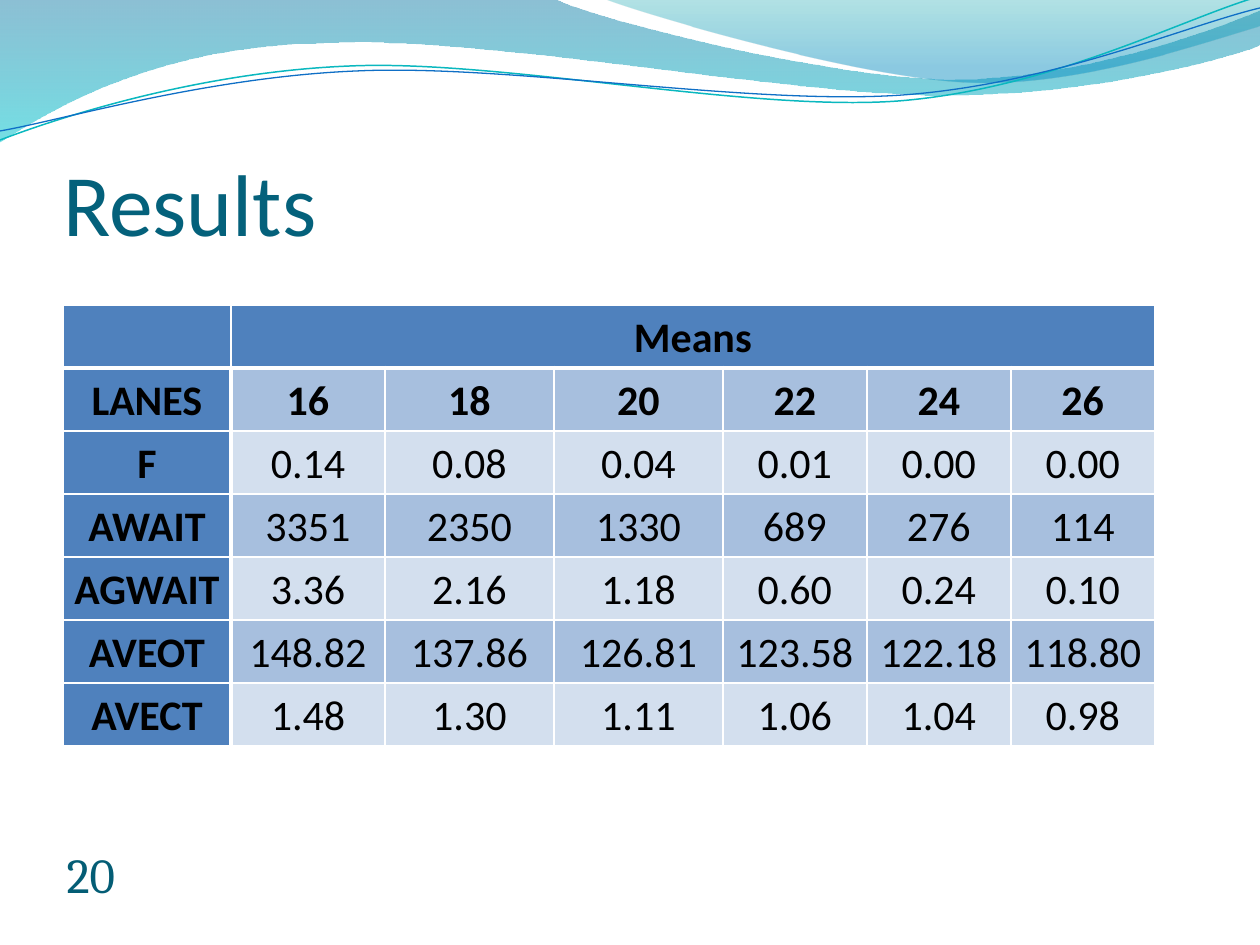
import pptx
import pptx.util
import pptx.dml.color
import pptx.enum.text
import pptx.oxml
import pptx.oxml.ns

EMU_PER_PX = 914400 / 126
ALIGN = pptx.enum.text.PP_ALIGN
COLORS = {
    "title": "04617B", "page": "045D75", "text": "000000", "border": "FFFFFF",
    "header": "4F81BD", "dark_band": "A7BFDE", "light_band": "D3DFEE",
    "wave_blue": "0074A1", "wave_cyan": "00C6CF",
    "crest_teal": "00A1A9", "crest_blue": "008BBF",
    "teal_line": "0AB8BF", "blue_line": "0F6FC6",
}
BACK_WAVE = [
    [(0, 0)], [(554, -1)],
    [(600, 21), (837, 79), (955, 79)], [(1075, 79), (1207, 33), (1260, 11)],
    [(1261, 45)],
    [(1239, 55), (1096, 96), (940, 95)], [(784, 95), (481, 35), (324, 43)],
    [(163, 45), (58, 105), (-1, 142)],
]
FRONT_WAVE = [
    [(604, -1)],
    [(641, 14), (859, 78), (969, 82)], [(1079, 87), (1211, 40), (1260, 26)],
    [(1260, 0)],
]
TEAL_CURVE = [
    [(0, 140)], [(60, 117), (199, 72), (349, 66)],
    [(498, 59), (747, 112), (898, 101)], [(1050, 89), (1182, 19), (1257, -3)],
]
BLUE_CURVE = [
    [(0, 131)], [(59, 121), (207, 77), (357, 71)],
    [(508, 64), (752, 106), (903, 95)], [(1053, 84), (1185, 26), (1260, 8)],
]
COLUMN_WIDTHS = [168, 154, 169, 169, 144, 144, 144]
ROW_HEIGHT = 63
RESULTS = [
    ["", "Means", "", "", "", "", ""],
    ["LANES", "16", "18", "20", "22", "24", "26"],
    ["F", "0.14", "0.08", "0.04", "0.01", "0.00", "0.00"],
    ["AWAIT", "3351", "2350", "1330", "689", "276", "114"],
    ["AGWAIT", "3.36", "2.16", "1.18", "0.60", "0.24", "0.10"],
    ["AVEOT", "148.82", "137.86", "126.81", "123.58", "122.18", "118.80"],
    ["AVECT", "1.48", "1.30", "1.11", "1.06", "1.04", "0.98"],
]


def px(length):
    """Turn pixels into EMU."""
    return pptx.util.Emu(round(length * EMU_PER_PX))


def rgb(name):
    """Look up a named colour."""
    return pptx.dml.color.RGBColor.from_string(COLORS[name])


def bend(outline, segments):
    """Turn the straight segments that have control points into Bezier curves."""
    lines = list(outline._element.iter(pptx.oxml.ns.qn("a:lnTo")))
    for line, segment in zip(lines, segments[1:]):
        if len(segment) == 3:
            points = "".join(f'<a:pt x="{px(x) - outline.left}" y="{px(y) - outline.top}"/>'
                             for x, y in segment)
            line.getparent().replace(line, pptx.oxml.parse_xml(
                f'<a:cubicBezTo {pptx.oxml.ns.nsdecls("a")}>{points}</a:cubicBezTo>'))


def add_outline(slide, segments, close):
    """Draw a curved freeform without a shadow."""
    start, *others = [(px(x), px(y)) for *_, (x, y) in segments]
    builder = slide.shapes.build_freeform(*start)
    builder.add_line_segments(others, close=close)
    outline = builder.convert_to_shape()
    outline.shadow.inherit = False
    bend(outline, segments)
    return outline


def add_wave(slide, segments, stops):
    """Draw a wave shaded downwards through translucent colours."""
    wave = add_outline(slide, segments, True)
    wave.line.fill.background()
    wave.fill.gradient()
    wave.fill.gradient_angle = 270
    for stop, (position, color, _) in zip(wave.fill.gradient_stops, stops):
        stop.position = position
        stop.color.rgb = rgb(color)
    shades = wave._element.iter(pptx.oxml.ns.qn("a:srgbClr"))
    for shade, (_, _, opacity) in zip(shades, stops):
        shade.append(pptx.oxml.parse_xml(
            f'<a:alpha {pptx.oxml.ns.nsdecls("a")} val="{opacity * 1000}"/>'))


def add_curve(slide, segments, color, width):
    """Draw a thin open curve."""
    curve = add_outline(slide, segments, False)
    curve.fill.background()
    curve.line.color.rgb = rgb(color)
    curve.line.width = pptx.util.Pt(width)


def write(frame, text, font, size, color, align, bold=False):
    """Fill a text frame with one formatted paragraph."""
    frame.text = text
    paragraph = frame.paragraphs[0]
    paragraph.alignment = align
    paragraph.font.name = font
    paragraph.font.size = pptx.util.Pt(size)
    paragraph.font.bold = bold
    paragraph.font.color.rgb = rgb(color)
    return paragraph


def place_text(box, bounds, margin, *style):
    """Position a text box and write bottom-anchored text in it."""
    box.left, box.top, box.width, box.height = map(px, bounds)
    frame = box.text_frame
    frame.word_wrap = True
    frame.auto_size = pptx.enum.text.MSO_AUTO_SIZE.NONE
    frame.vertical_anchor = pptx.enum.text.MSO_ANCHOR.BOTTOM
    frame.margin_left = frame.margin_right = frame.margin_bottom = 0
    frame.margin_top = px(margin)
    write(frame, *style)


def set_borders(cell, row, column):
    """Rule a cell, with thick lines beside the row and column headings."""
    widths = {
        "L": 3 if row and column == 1 else 1,
        "R": 3 if row and column == 0 else 1,
        "T": 3 if row == 1 else 1,
        "B": 3 if row == 0 else 1,
    }
    properties = cell._tc.get_or_add_tcPr()
    for index, (side, width) in enumerate(widths.items()):
        properties.insert(index, pptx.oxml.parse_xml(
            f'<a:ln{side} {pptx.oxml.ns.nsdecls("a")} w="{pptx.util.Pt(width)}">'
            f'<a:solidFill><a:srgbClr val="{COLORS["border"]}"/></a:solidFill>'
            f'</a:ln{side}>'))


def format_cell(cell, row, column, text):
    """Fill, rule and write one result cell."""
    heading = row == 0 or column == 0
    band = "dark_band" if row % 2 else "light_band"
    cell.fill.solid()
    cell.fill.fore_color.rgb = rgb("header" if heading else band)
    set_borders(cell, row, column)
    cell.margin_left = cell.margin_right = px(9)
    cell.margin_top = cell.margin_bottom = 0
    if text:
        paragraph = write(cell.text_frame, text, "Calibri", 24, "text", ALIGN.CENTER,
                          heading or row == 1)
        paragraph.line_spacing = 1.15


def add_results(slide):
    """Add the table of means by number of lanes."""
    rows, columns = len(RESULTS), len(COLUMN_WIDTHS)
    table = slide.shapes.add_table(rows, columns, px(63), px(305), px(sum(COLUMN_WIDTHS)),
                                   px(rows * ROW_HEIGHT)).table
    table.first_row = table.horz_banding = False
    for column, width in zip(table.columns, COLUMN_WIDTHS):
        column.width = px(width)
    for row_index, values in enumerate(RESULTS):
        table.rows[row_index].height = px(ROW_HEIGHT)
        for column_index, value in enumerate(values):
            format_cell(table.cell(row_index, column_index), row_index, column_index, value)
    table.cell(0, 1).merge(table.cell(0, columns - 1))


def main():
    """Build the results slide."""
    deck = pptx.Presentation()
    deck.slide_width, deck.slide_height = px(1260), px(945)
    slide = deck.slides.add_slide(deck.slide_layouts[5])
    add_wave(slide, BACK_WAVE, [(0, "wave_blue", 45), (1, "wave_cyan", 55)])
    add_wave(slide, FRONT_WAVE, [(0, "crest_teal", 30), (0.8, "crest_blue", 45)])
    add_curve(slide, TEAL_CURVE, "teal_line", 0.85)
    add_curve(slide, BLUE_CURVE, "blue_line", 0.75)
    title = slide.shapes.title
    slide.shapes._spTree.append(title._element)
    place_text(title, (63, 97, 1134, 157), 6, "Results", "Calibri", 50, "title", ALIGN.LEFT)
    page_number = slide.shapes.add_textbox(0, 0, 0, 0)
    place_text(page_number, (42, 850, 73, 53), 0, "20", "Cambria", 28, "page", ALIGN.RIGHT)
    add_results(slide)
    deck.save("out.pptx")


if __name__ == "__main__":
    main()
